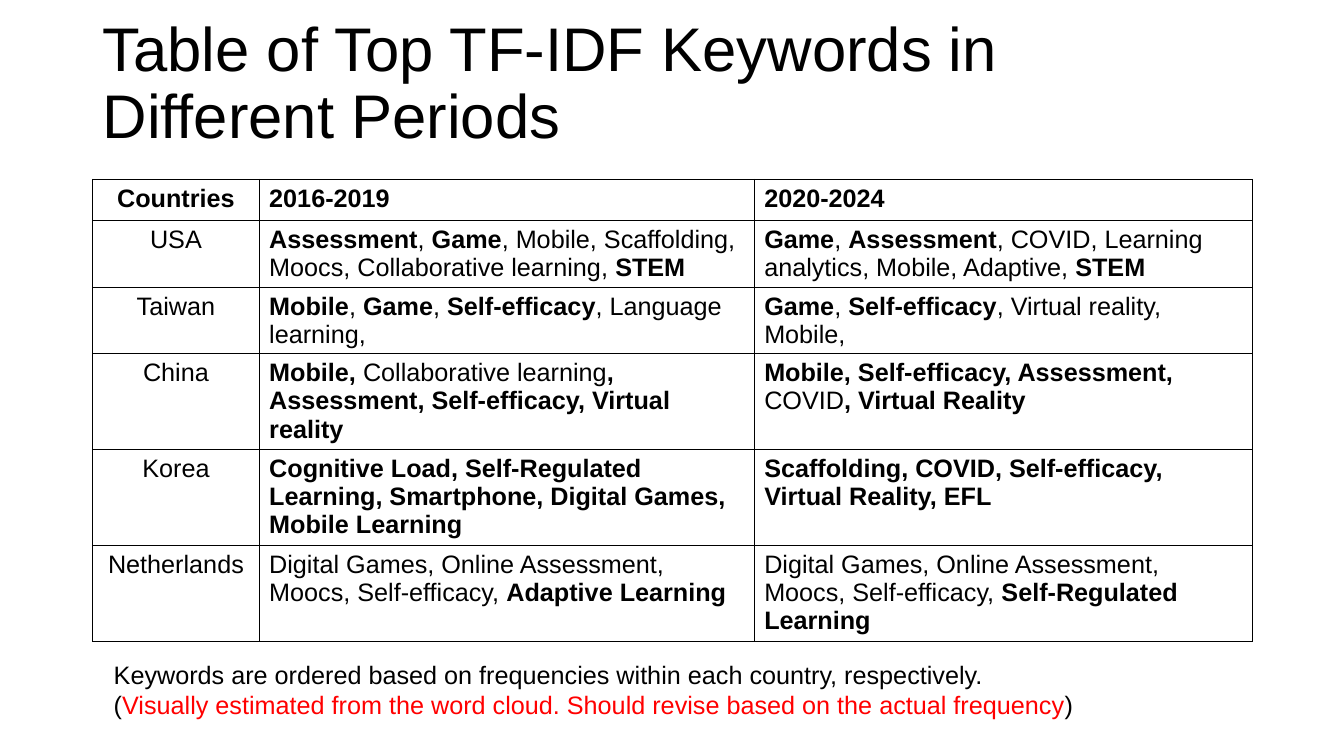
from lxml import etree
from pptx import Presentation
from pptx.dml.color import RGBColor
from pptx.enum.text import MSO_ANCHOR as ANCHOR, PP_ALIGN as ALIGN
from pptx.oxml import parse_xml
from pptx.oxml.ns import nsdecls, qn
from pptx.util import Inches, Pt

BLACK, RED = "000000", "FF0000"
BODY = {"name": "Arial", "size": Pt(18)}
COLUMNS = [1.65, 4.91, 4.94]
ROWS = [0.41] + [0.66] * 2 + [0.94] * 3
KEYWORDS = [
    ["*Countries*", "*2016-2019*", "*2020-2024*"],
    ["USA",
     "*Assessment*, *Game*, Mobile, Scaffolding, Moocs, Collaborative learning, *STEM*",
     "*Game*, *Assessment*, COVID, Learning analytics, Mobile, Adaptive, *STEM*"],
    ["Taiwan",
     "*Mobile*, *Game*, *Self-efficacy*, Language learning,",
     "*Game*, *Self-efficacy*, Virtual reality, Mobile,"],
    ["China",
     "*Mobile, *Collaborative learning*, Assessment, Self-efficacy, Virtual reality*",
     "*Mobile, Self-efficacy, Assessment, *COVID*, Virtual Reality*"],
    ["Korea",
     "*Cognitive Load, Self-Regulated Learning, Smartphone, Digital Games,*\n*Mobile Learning*",
     "*Scaffolding, COVID, Self-efficacy, Virtual Reality, EFL*"],
    ["Netherlands",
     "Digital Games, Online Assessment, Moocs, Self-efficacy, *Adaptive Learning*",
     "Digital Games, Online Assessment, Moocs, Self-efficacy, *Self-Regulated Learning*"],
]
NOTE = [
    [("Keywords are ordered based on frequencies within each country, respectively.", BLACK)],
    [("(", BLACK),
     ("Visually estimated from the word cloud. Should revise based on the actual frequency", RED),
     (")", BLACK)],
]


def rgb(value):
    """Turn a hex string into a colour."""
    return RGBColor.from_string(value)


def add_run(p, text, color=BLACK, **formats):
    """Append a run with the given font values."""
    r = p.add_run()
    r.text = text
    for name, value in formats.items():
        setattr(r.font, name, value)
    r.font.color.rgb = rgb(color)


def fill_marked(tf, text, align):
    """Write lines of text whose starred parts are bold."""
    for i, line in enumerate(text.split("\n")):
        p = tf.paragraphs[0] if i == 0 else tf.add_paragraph()
        p.alignment = align
        for j, part in enumerate(line.split("*")):
            if part:
                add_run(p, part, bold=j % 2 == 1, **BODY)


def add_borders(cell, color=BLACK, width=1):
    """Draw a solid line on all four sides of a cell."""
    tc_pr = cell._tc.get_or_add_tcPr()
    for i, side in enumerate(("lnL", "lnR", "lnT", "lnB")):
        ln = parse_xml(f'<a:{side} {nsdecls("a")} w="{Pt(width)}"/>')
        fill = etree.SubElement(ln, qn("a:solidFill"))
        etree.SubElement(fill, qn("a:srgbClr"), val=color)
        tc_pr.insert(i, ln)


def add_title(s, left, top, width, height):
    """Place the slide title, centred vertically in its box."""
    tf = s.shapes.add_textbox(*map(Inches, (left, top, width, height))).text_frame
    tf.word_wrap = True
    tf.vertical_anchor = ANCHOR.MIDDLE
    p = tf.paragraphs[0]
    p.line_spacing = 0.9
    add_run(p, "Table of Top TF-IDF Keywords in Different Periods", name="Arial", size=Pt(44))


def add_keywords(s, left, top):
    """Place the table of keywords by country and period."""
    box = (left, top, sum(COLUMNS), sum(ROWS))
    table = s.shapes.add_table(len(ROWS), len(COLUMNS), *map(Inches, box)).table
    table.first_row = table.horz_banding = False
    for column, width in zip(table.columns, COLUMNS):
        column.width = Inches(width)
    for i, (row, height) in enumerate(zip(KEYWORDS, ROWS)):
        table.rows[i].height = Inches(height)
        for j, text in enumerate(row):
            cell = table.cell(i, j)
            cell.margin_bottom = 0
            cell.fill.background()
            add_borders(cell)
            fill_marked(cell.text_frame, text, ALIGN.LEFT if j else ALIGN.CENTER)


def add_note(s, left, top, width, height):
    """Place the remark under the table."""
    tf = s.shapes.add_textbox(*map(Inches, (left, top, width, height))).text_frame
    tf.word_wrap = False
    for i, parts in enumerate(NOTE):
        p = tf.paragraphs[0] if i == 0 else tf.add_paragraph()
        for text, color in parts:
            add_run(p, text, color, **BODY)


def main():
    """Build and save the slide."""
    prs = Presentation()
    prs.slide_width, prs.slide_height = Inches(13.33), Inches(7.5)
    s = prs.slides.add_slide(prs.slide_layouts[6])
    add_title(s, 0.92, 0.12, 11.5, 1.45)
    add_keywords(s, 0.92, 1.78)
    add_note(s, 1.03, 6.49, 9.87, 0.71)
    prs.save("out.pptx")


if __name__ == "__main__":
    main()
